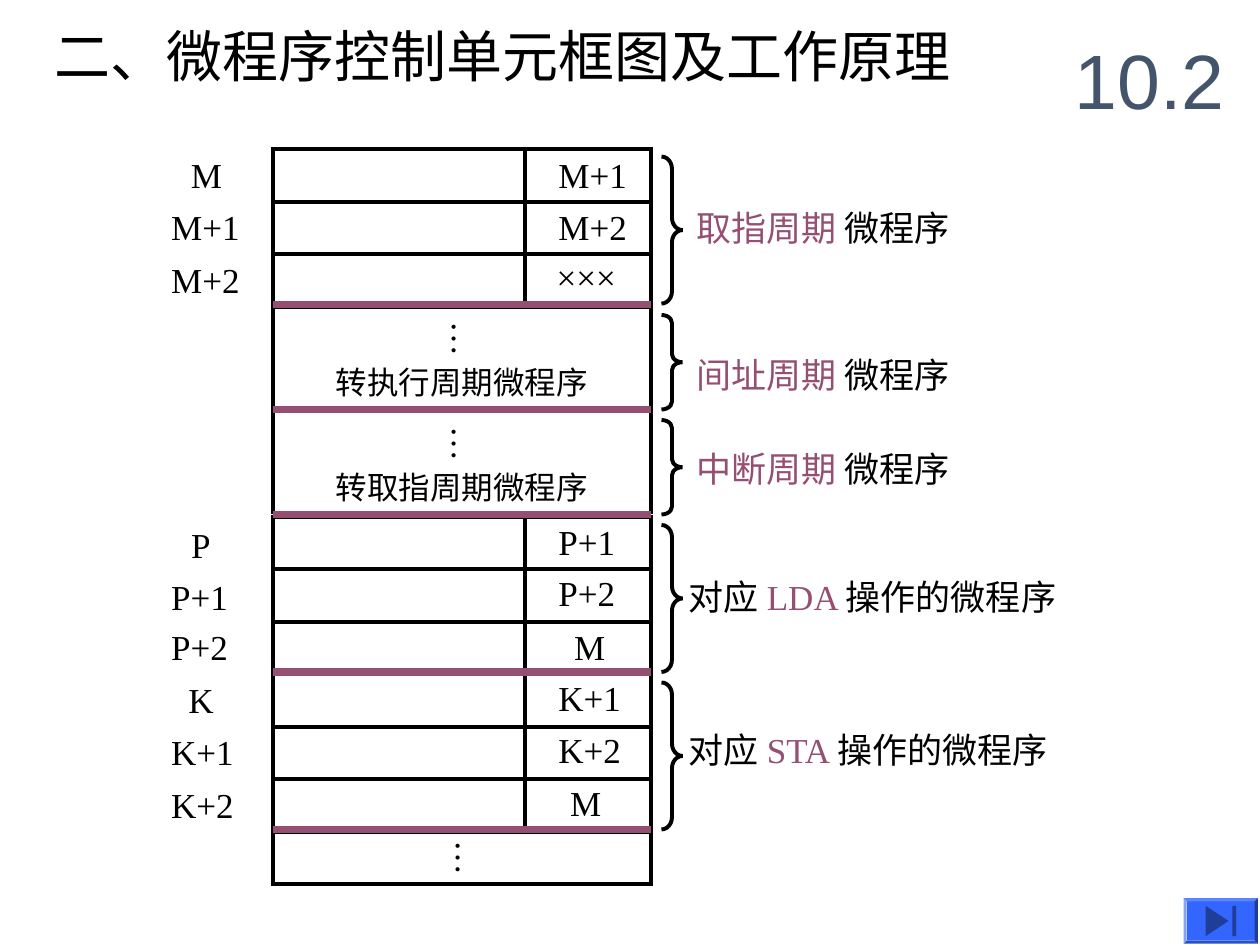
from pptx import Presentation
from pptx.dml.color import RGBColor
from pptx.enum.shapes import MSO_CONNECTOR, MSO_SHAPE
from pptx.enum.text import MSO_ANCHOR, MSO_AUTO_SIZE, PP_ALIGN
from pptx.oxml.ns import qn
from pptx.util import Pt
from lxml.etree import SubElement

COLORS = {"ink": "000000", "accent": "954F72", "section": "44546A",
          "button": "3366FF", "symbol": "1F3D99"}
SERIF = "Times New Roman"

# Memory map: rows share one pitch, the two middle blocks span two rows each
LEFT, WIDTH, TOP, PITCH = 156, 216, 84, 30
RIGHT, COLUMN = LEFT + WIDTH, 300
ROWS = [0, 1, 2, 7, 8, 9, 10, 11, 12, 13]
BOUNDARIES = [3, 5, 7, 10, 13]

# Text, left, top, width
ADDRESSES = [
    ("M", 102, 84, 32), ("M+1", 90.7, 114, 54), ("M+2", 90.7, 144, 54),
    ("P", 102.2, 295.5, 25), ("P+1", 90.7, 325.5, 47), ("P+2", 90.7, 354, 47),
    ("K", 100.6, 384, 29), ("K+1", 90.7, 414, 50), ("K+2", 90.7, 444, 50),
]
NEXT_ADDRESSES = [
    ("M+1", 312, 84, 54), ("M+2", 312, 114, 54), ("×××", 311, 142.5, 49),
    ("P+1", 312, 294, 47), ("P+2", 312, 323, 47), ("M", 321, 354, 32),
    ("K+1", 312, 383, 50), ("K+2", 312, 412.5, 50), ("M", 318.7, 443, 32),
]
JUMPS = [("转执行周期微程序", 204), ("转取指周期微程序", 264)]
ELLIPSES = [(244, 176.7), (244, 236.7), (246.2, 473.3)]

# Runs, left, top, width
CAPTIONS = [
    ([("取指周期 ", "accent"), ("微程序", "ink")], 391, 114.5, 159),
    ([("间址周期 ", "accent"), ("微程序", "ink")], 391, 198.3, 159),
    ([("中断周期 ", "accent"), ("微程序", "ink")], 391, 252, 159),
    ([("对应 ", "ink"), ("LDA ", "accent"), ("操作的微程序", "ink")], 386.6, 325.5, 235),
    ([("对应 ", "ink"), ("STA ", "accent"), ("操作的微程序", "ink")], 386.6, 412.5, 233),
]
# Top, height
BRACES = [(89.5, 84), (180, 54), (240, 54), (300, 84), (390, 84)]

presentation = Presentation()
presentation.slide_width, presentation.slide_height = Pt(720), Pt(540)
slide = presentation.slides.add_slide(presentation.slide_layouts[6])
shapes = slide.shapes


def color(name):
    return RGBColor.from_string(COLORS[name])


def add_text(runs, left, top, width, height=31.5, size=20, font=SERIF, wrap=False,
             align=PP_ALIGN.LEFT):
    box = shapes.add_textbox(Pt(left), Pt(top), Pt(width), Pt(height))
    frame = box.text_frame
    frame.word_wrap = wrap
    frame.auto_size = MSO_AUTO_SIZE.SHAPE_TO_FIT_TEXT
    paragraph = frame.paragraphs[0]
    paragraph.alignment = align
    paragraph.font.size, paragraph.font.name = Pt(size), font
    for text, tone in runs:
        run = paragraph.add_run()
        run.text = text
        run.font.color.rgb = color(tone)
    return box


def add_line(x1, y1, x2, y2, tone="ink", weight=2.25):
    line = shapes.add_connector(MSO_CONNECTOR.STRAIGHT, Pt(x1), Pt(y1), Pt(x2), Pt(y2))
    line.line.color.rgb, line.line.width = color(tone), Pt(weight)
    SubElement(line.element.spPr, qn("a:effectLst"))


def fill_plain(shape, tone):
    shape.shadow.inherit = False
    shape.fill.solid()
    shape.fill.fore_color.rgb = color(tone)
    shape.line.fill.background()


def add_filled(kind, left, top, width, height, tone):
    shape = shapes.add_shape(kind, Pt(left), Pt(top), Pt(width), Pt(height))
    fill_plain(shape, tone)
    return shape


def add_outline(kind, left, top, width, height):
    shape = shapes.add_shape(kind, Pt(left), Pt(top), Pt(width), Pt(height))
    shape.shadow.inherit = False
    shape.fill.background()
    shape.line.color.rgb, shape.line.width = color("ink"), Pt(2.25)
    # Sharp corners
    SubElement(shape.element.spPr.find(qn("a:ln")), qn("a:miter"), lim="800000")
    return shape


# Title and section number
add_text([("二、微程序控制单元框图及工作原理", "ink")], 24, 8.5, 576, 46, size=32, wrap=True)
section = add_text([("10.2", "section")], 607, 12, 113, 66, size=44, font="Arial", wrap=True)
section.text_frame.auto_size = MSO_AUTO_SIZE.NONE
section.text_frame.vertical_anchor = MSO_ANCHOR.MIDDLE

# Memory grid
for row in ROWS:
    add_outline(MSO_SHAPE.RECTANGLE, LEFT, TOP + 1.3 + row * PITCH, WIDTH, PITCH)
for x in (LEFT, RIGHT):
    add_line(x, TOP + 3 * PITCH, x, TOP + 7 * PITCH)
for first, last in ((0, 3), (7, 13)):
    add_line(COLUMN, TOP + first * PITCH, COLUMN, TOP + last * PITCH)
for row in BOUNDARIES:
    add_line(LEFT, TOP + row * PITCH, RIGHT, TOP + row * PITCH, "accent", 4.5)

# Addresses and contents
for text, left, top, width in ADDRESSES + NEXT_ADDRESSES:
    add_text([(text, "ink")], left, top, width)
for text, top in JUMPS:
    add_text([(text, "ink")], LEFT, top, WIDTH, 29, size=18, wrap=True, align=PP_ALIGN.CENTER)
for left, top in ELLIPSES:
    box = add_text([("…", "ink")], left, top, 38, 27.4)
    frame = box.text_frame
    frame.margin_left = frame.margin_right = Pt(3.6)
    frame.margin_top = frame.margin_bottom = Pt(7.2)
    box.element.txBody.bodyPr.set("vert", "eaVert")

# Braces and captions
for top, height in BRACES:
    brace = add_outline(MSO_SHAPE.RIGHT_BRACE, 378, top, 12, height)
    brace.adjustments[0] = height / 12 / 12
for runs, left, top, width in CAPTIONS:
    add_text(runs, left, top, width)

# Skip-to-end button
button = add_filled(MSO_SHAPE.BEVEL, 676.3, 513.2, 42.5, 26, "button")
button.adjustments[0] = 0.07
builder = shapes.build_freeform(Pt(702), Pt(526.3))
builder.add_line_segments([(Pt(689), Pt(535)), (Pt(689), Pt(517.7))])
fill_plain(builder.convert_to_shape(), "symbol")
add_filled(MSO_SHAPE.RECTANGLE, 704.2, 517.7, 2.2, 17.3, "symbol")

presentation.save("out.pptx")
